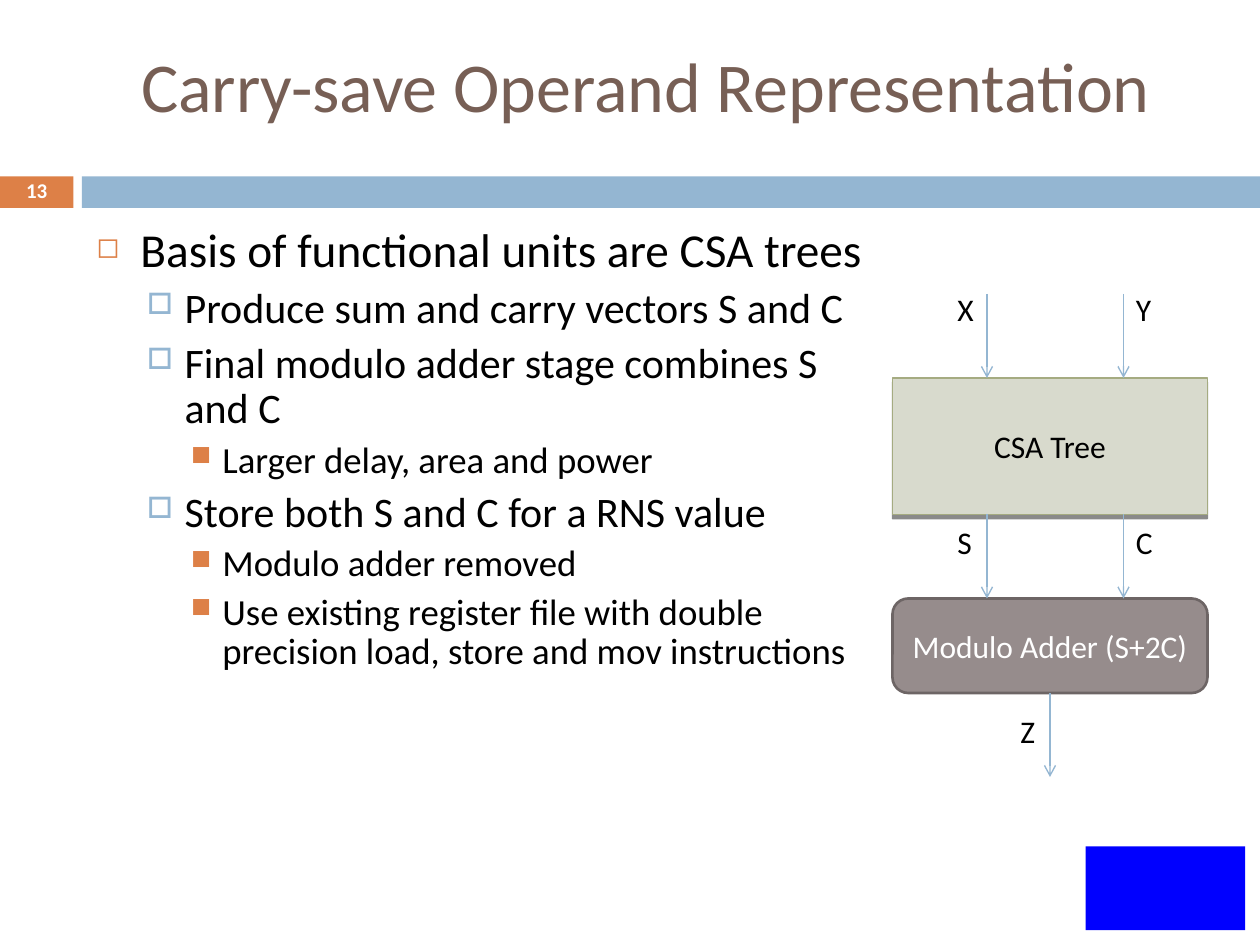
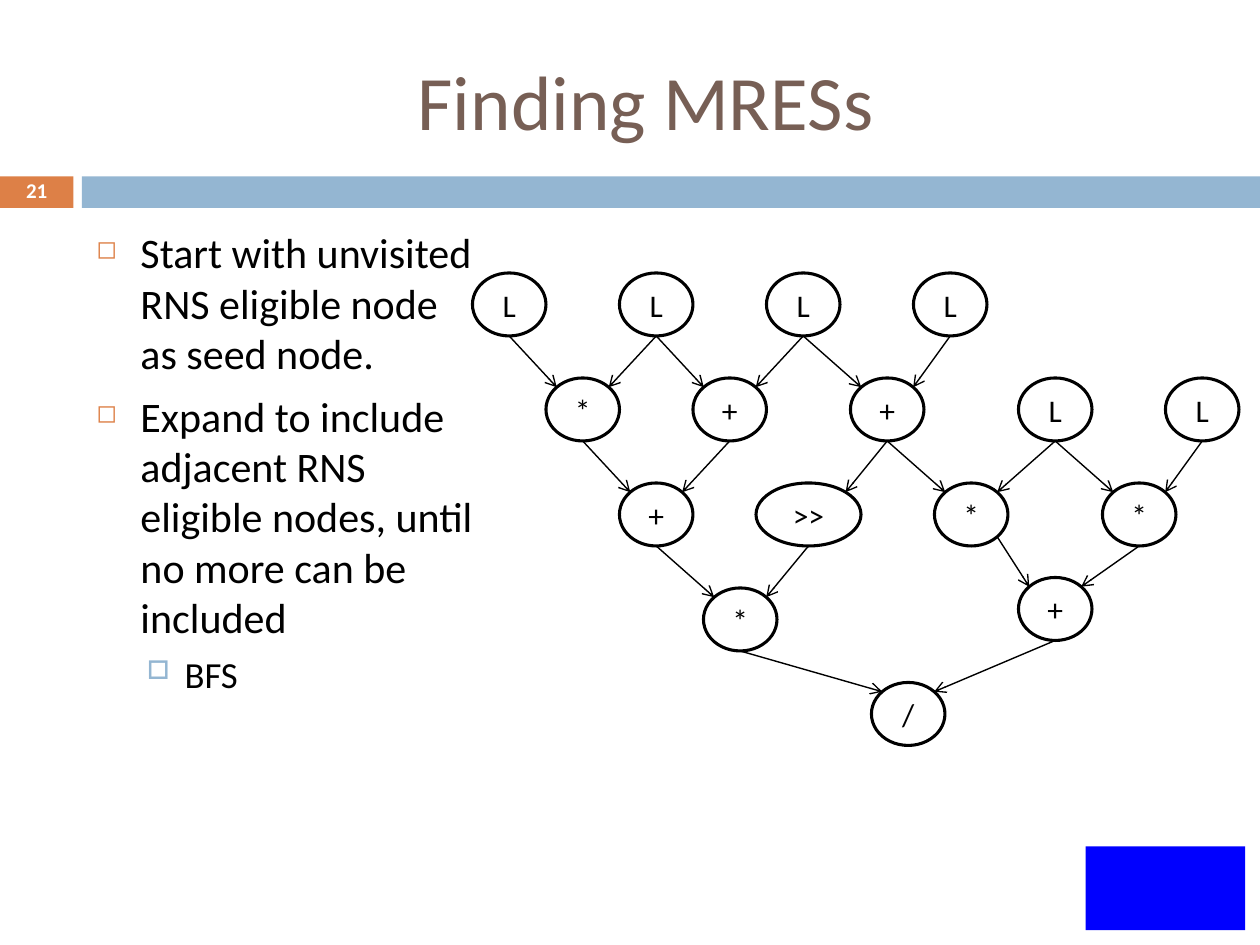
from lxml import etree
from pptx import Presentation
from pptx import util as u
from pptx.dml.color import RGBColor
from pptx.enum import shapes, text
from pptx.oxml import ns

PX = 7620  # 120 px to the inch
FONT = "Calibri"
BLACK = RGBColor(0x00, 0x00, 0x00)
WHITE = RGBColor(0xFF, 0xFF, 0xFF)
BROWN = RGBColor(0x77, 0x5F, 0x55)
ORANGE = RGBColor(0xDD, 0x80, 0x47)
BLUE = RGBColor(0x94, 0xB6, 0xD2)
EMBLEM_BLUE = RGBColor(0x00, 0x00, 0xFF)
SAGE = RGBColor(0xD8, 0xDA, 0xCD)
SAGE_EDGE = RGBColor(0xA5, 0xAB, 0x81)
GRAY = RGBColor(0x96, 0x8C, 0x8C)
GRAY_EDGE = RGBColor(0x6D, 0x65, 0x65)

RECTANGLE = shapes.MSO_SHAPE.RECTANGLE
ROUNDED = shapes.MSO_SHAPE.ROUNDED_RECTANGLE
OVAL = shapes.MSO_SHAPE.OVAL
CENTER = text.PP_ALIGN.CENTER


def add_box(slide, kind, place, fill=None, edge=None, weight=0.79,
            words="", size=18, color=BLACK, bold=False, align=CENTER):
    """Add a preset shape, or a text box when kind is None."""
    left, top, width, height = [n * PX for n in place]
    if kind is None:
        shape = slide.shapes.add_textbox(left, top, width, height)
    else:
        shape = slide.shapes.add_shape(kind, left, top, width, height)
        shape.shadow.inherit = False
    if fill is None:
        shape.fill.background()
    else:
        shape.fill.solid()
        shape.fill.fore_color.rgb = fill
    if edge is None:
        shape.line.fill.background()
    else:
        shape.line.color.rgb = edge
        shape.line.width = u.Pt(weight)
    if words:
        frame = shape.text_frame
        frame.text = words
        frame.word_wrap = True
        frame.vertical_anchor = text.MSO_ANCHOR.MIDDLE
        paragraph = frame.paragraphs[0]
        paragraph.alignment = align
        font = paragraph.runs[0].font
        font.name, font.size, font.bold = FONT, u.Pt(size), bold
        font.color.rgb = color
    return shape


def add_arrow(slide, start, end, color):
    ends = [round(n * PX) for n in (*start, *end)]
    arrow = slide.shapes.add_connector(shapes.MSO_CONNECTOR.STRAIGHT, *ends)
    arrow.line.color.rgb = color
    arrow.line.width = u.Pt(0.79)
    etree.SubElement(arrow.line._get_or_add_ln(), ns.qn("a:tailEnd"), type="arrow")
    etree.SubElement(arrow._element.spPr, ns.qn("a:effectLst"))
    return arrow


# Bullet levels: indent and hang in px, space before, character, colour, percent
LEVELS = [
    (42, 42, 7, "◻", ORANGE, 60),
    (84, 36, 5.5, "□", BLUE, 70),
    (120, 30, 5, "■", ORANGE, 75),
]

# Per slide: number, title, its place and size, body width, line spacing,
# text size of each level, and the bullets with their levels
PAGES = [
    ("13", "Carry-save Operand Representation", (30, 0, 1170, 160), 40,
     760, 0.9, (27, 24, 21), [
         (0, "Basis of functional units are CSA trees"),
         (1, "Produce sum and carry vectors S and C"),
         (1, "Final modulo adder stage combines S and C"),
         (2, "Larger delay, area and power"),
         (1, "Store both S and C for a RNS value"),
         (2, "Modulo adder removed"),
         (2, "Use existing register file with double precision load, "
             "store and mov instructions"),
     ]),
    ("21", "Finding MRESs", (80, 30, 1070, 130), 44,
     390, 1.0, (24, 21), [
         (0, "Start with unvisited RNS eligible node as seed node."),
         (0, "Expand to include adjacent RNS eligible nodes, until no more "
             "can be included"),
         (1, "BFS"),
     ]),
]

presentation = Presentation()
presentation.slide_width = 1200 * PX
presentation.slide_height = 900 * PX

# Shared frame, title and bullets
for number, title, place, title_size, width, spacing, sizes, bullets in PAGES:
    slide = presentation.slides.add_slide(presentation.slide_layouts[6])
    add_box(slide, RECTANGLE, (0, 168, 70, 30), ORANGE)
    add_box(slide, RECTANGLE, (78, 168, 1122, 30), BLUE)
    add_box(slide, RECTANGLE, (1034, 806, 152, 80), EMBLEM_BLUE)
    add_box(slide, None, (0, 167, 70, 32), words=number, size=12,
            color=WHITE, bold=True).text_frame.paragraphs[0].line_spacing = 0.8
    add_box(slide, None, place, words=title, size=title_size, color=BROWN)

    body = add_box(slide, None, (80, 210, width, 590)).text_frame
    body.word_wrap = True
    body.text = "\n".join(words for _, words in bullets)
    for i, (paragraph, (level, _)) in enumerate(zip(body.paragraphs, bullets)):
        indent, hang, before, mark, color, percent = LEVELS[level]
        paragraph.level = level
        properties = paragraph._p.get_or_add_pPr()
        properties.set("marL", str(indent * PX))
        properties.set("indent", str(-hang * PX))
        bullet_color = etree.SubElement(properties, ns.qn("a:buClr"))
        etree.SubElement(bullet_color, ns.qn("a:srgbClr"), val=str(color))
        etree.SubElement(properties, ns.qn("a:buSzPct"), val=str(percent * 1000))
        etree.SubElement(properties, ns.qn("a:buChar"), char=mark)
        paragraph.line_spacing = spacing
        paragraph.space_before = u.Pt(before if i else 0)
        font = paragraph.runs[0].font
        font.name, font.size = FONT, u.Pt(sizes[level])
        font.color.rgb = BLACK

adder_slide, graph_slide = presentation.slides

# Carry-save adder diagram
tree = add_box(adder_slide, RECTANGLE, (850, 360, 300, 130), SAGE, SAGE_EDGE,
               words="CSA Tree")
shadow = etree.SubElement(
    tree._element.spPr.find(ns.qn("a:effectLst")), ns.qn("a:outerShdw"),
    blurRad="0", dist=str(u.Pt(2.4)), dir="5400000", rotWithShape="0")
shade = etree.SubElement(shadow, ns.qn("a:srgbClr"), val=str(BLACK))
etree.SubElement(shade, ns.qn("a:alpha"), val="45000")
adder = add_box(adder_slide, ROUNDED, (850, 570, 300, 90), GRAY, GRAY_EDGE, 1.5,
                "Modulo Adder (S+2C)", color=WHITE)
for x in (940, 1070):
    for y in (280, 490):
        add_arrow(adder_slide, (x, y), (x, y + 80), BLUE)
add_arrow(adder_slide, (1000, 660), (1000, 740), BLUE).begin_connect(adder, 2)
for words, x, y in [("X", 900, 270), ("Y", 1070, 270), ("S", 900, 492),
                    ("C", 1070, 492), ("Z", 960, 672)]:
    add_box(adder_slide, None, (x, y, 50, 48), words=words,
            align=text.PP_ALIGN.LEFT)

# Operation graph: name -> label, centre x, top y
NODE_WIDTH, SHIFT_WIDTH, NODE_HEIGHT = 70, 100, 60
NODES = {
    "load1": ("L", 485, 260), "load2": ("L", 625, 260),
    "load3": ("L", 765, 260), "load4": ("L", 905, 260),
    "mul1": ("*", 555, 360), "add1": ("+", 695, 360), "add2": ("+", 845, 360),
    "load5": ("L", 1005, 360), "load6": ("L", 1145, 360),
    "add3": ("+", 625, 460), "shift": (">>", 770, 460),
    "mul2": ("*", 925, 460), "mul3": ("*", 1085, 460),
    "mul4": ("*", 705, 560), "add4": ("+", 1005, 550), "div": ("/", 865, 650),
}
EDGES = {
    "load1": ["mul1"], "load2": ["mul1", "add1"], "load3": ["add1", "add2"],
    "load4": ["add2"], "mul1": ["add3"], "add1": ["add3"],
    "add2": ["shift", "mul2"], "load5": ["mul2", "mul3"], "load6": ["mul3"],
    "add3": ["mul4"], "shift": ["mul4"], "mul2": ["add4"], "mul3": ["add4"],
    "mul4": ["div"], "add4": ["div"],
}
DIAGONAL = 0.707  # where an oval's corner point lies along each half axis
half_widths = {}
for name, (label, x, y) in NODES.items():
    width = SHIFT_WIDTH if name == "shift" else NODE_WIDTH
    half_widths[name] = width / 2
    add_box(graph_slide, OVAL, (x - width // 2, y, width, NODE_HEIGHT),
            edge=BLACK, weight=1.75, words=label)

# Arrows leave at the bottom and enter at the nearer upper corner
rise = DIAGONAL * NODE_HEIGHT / 2
for source, targets in EDGES.items():
    _, x, y = NODES[source]
    start = (x, y + NODE_HEIGHT)
    if source == "mul2":  # leaves at its lower right corner
        start = (x + DIAGONAL * half_widths[source], y + NODE_HEIGHT / 2 + rise)
    for target in targets:
        _, target_x, target_y = NODES[target]
        side = -1 if x < target_x else 1
        end = (target_x + side * DIAGONAL * half_widths[target],
               target_y + NODE_HEIGHT / 2 - rise)
        add_arrow(graph_slide, start, end, BLACK)

presentation.save("out.pptx")
